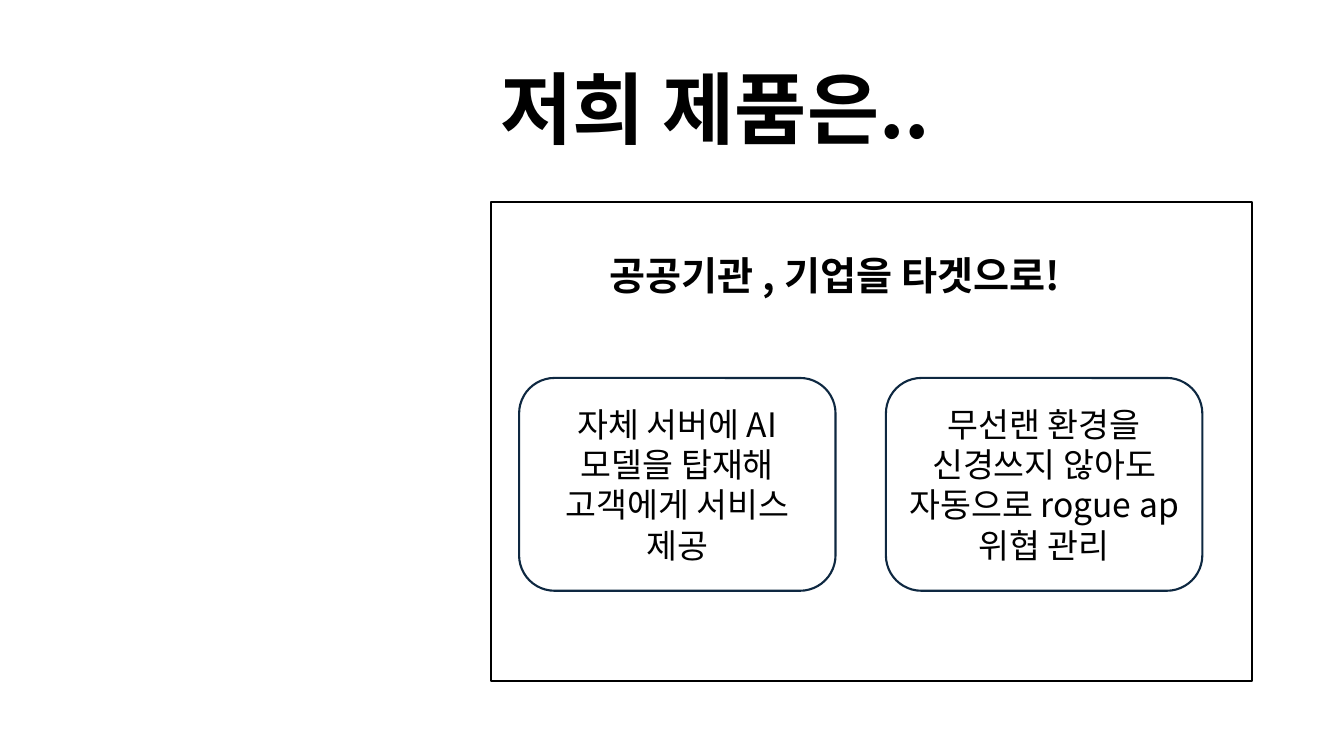
from lxml.etree import SubElement
from pptx import Presentation
from pptx.dml.color import RGBColor
from pptx.enum.shapes import MSO_SHAPE
from pptx.enum.text import MSO_ANCHOR, PP_ALIGN
from pptx.oxml.ns import qn
from pptx.util import Pt

COLORS = {"ink": "000000", "paper": "FFFFFF", "navy": "0E2841"}
FONT = "Noto Sans CJK KR"


class PageBuilder:
    def __init__(self, page):
        self.page = page

    def set_text(self, shape, text, size, bold=False, align=PP_ALIGN.LEFT,
                 anchor=MSO_ANCHOR.MIDDLE, spacing=1.0):
        frame = shape.text_frame
        frame.word_wrap = True
        frame.vertical_anchor = anchor
        frame.text = text
        for para in frame.paragraphs:
            para.alignment = align
            para.line_spacing = spacing
            for span in para.runs:
                span.font.size = Pt(size)
                span.font.bold = bold
                span.font.name = FONT
                span.font.color.rgb = RGBColor.from_string(COLORS["ink"])
                east_asian = SubElement(span.font._element, qn("a:ea"))
                east_asian.set("typeface", FONT)

    def title(self, left, top, width, height, text):
        box = self.page.shapes.add_textbox(Pt(left), Pt(top), Pt(width), Pt(height))
        self.set_text(box, text, 56, bold=True, spacing=0.9)

    def outlined(self, kind, left, top, width, height, line, fill=None):
        shape = self.page.shapes.add_shape(kind, Pt(left), Pt(top), Pt(width), Pt(height))
        shape.shadow.inherit = False
        if fill:
            shape.fill.solid()
            shape.fill.fore_color.rgb = RGBColor.from_string(COLORS[fill])
        else:
            shape.fill.background()
        shape.line.color.rgb = RGBColor.from_string(COLORS[line])
        shape.line.width = Pt(1.5)
        return shape

    def panel(self, left, top, width, height, heading):
        panel = self.outlined(MSO_SHAPE.RECTANGLE, left, top, width, height, "ink", "paper")
        panel.text_frame.margin_left = Pt(85)
        panel.text_frame.margin_top = Pt(39)
        self.set_text(panel, heading, 28, bold=True, anchor=MSO_ANCHOR.TOP, spacing=0.9)

    def card(self, left, top, width, height, lines):
        card = self.outlined(MSO_SHAPE.ROUNDED_RECTANGLE, left, top, width, height, "navy")
        self.set_text(card, "\n".join(lines), 24, align=PP_ALIGN.CENTER)


def main():
    deck = Presentation()
    deck.slide_width, deck.slide_height = Pt(960), Pt(540)
    builder = PageBuilder(deck.slides.add_slide(deck.slide_layouts[6]))

    builder.title(350.6, 28.8, 543.6, 104.4, "저희 제품은..")
    builder.panel(350.6, 144, 543.6, 342.7, "공공기관 , 기업을 타겟으로!")

    benefits = [
        ["자체 서버에 AI", "모델을 탑재해", "고객에게 서비스 제공"],
        ["무선랜 환경을", "신경쓰지 않아도", "자동으로 rogue ap 위협 관리"],
    ]
    for column, lines in enumerate(benefits):
        builder.card(370.8 + column * 262, 270, 226, 152, lines)

    deck.save("out.pptx")


if __name__ == "__main__":
    main()
